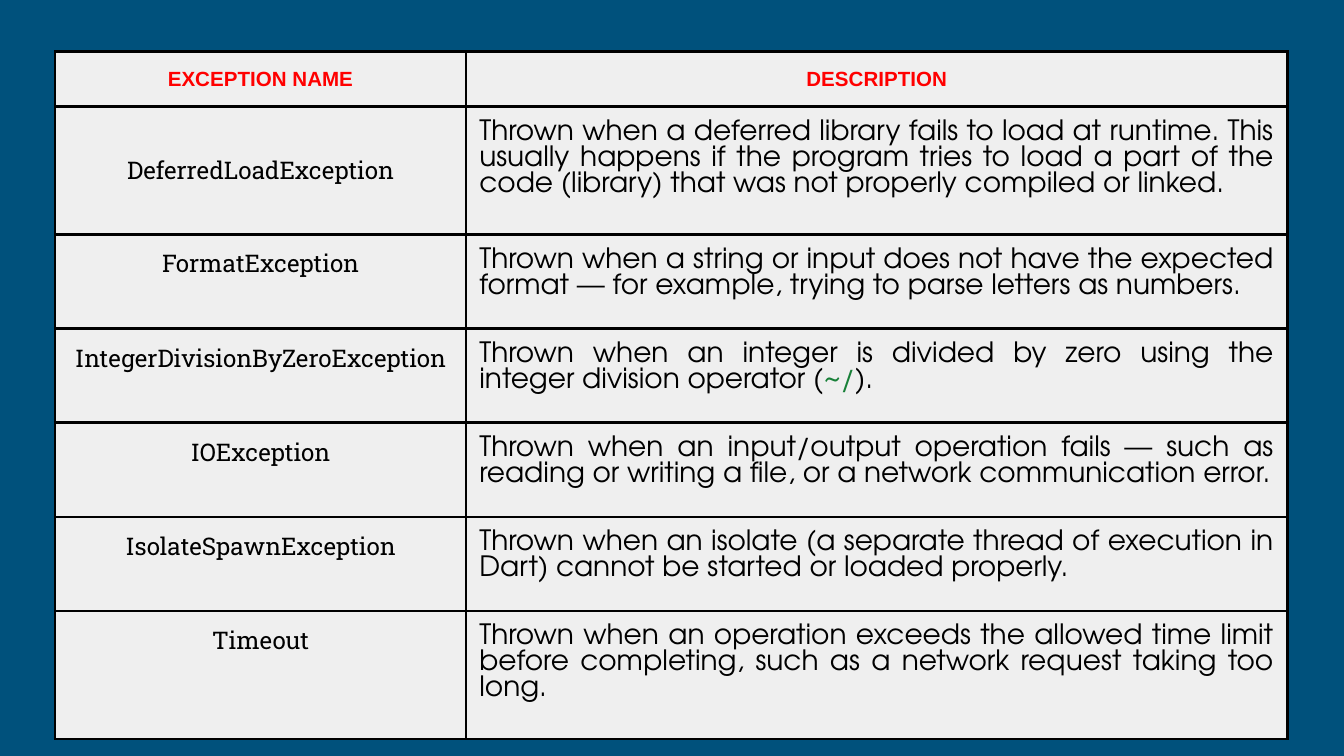
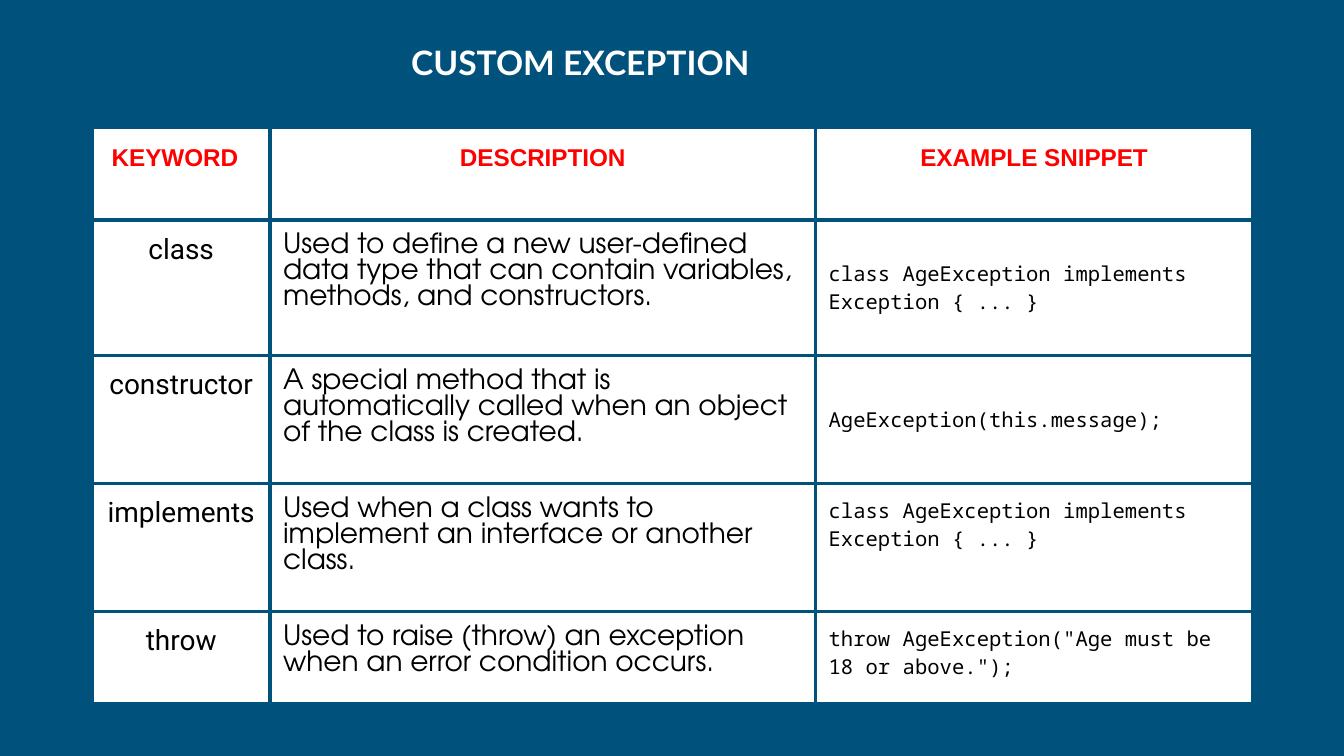
from lxml import etree
from pptx import Presentation
from pptx.dml.color import RGBColor
from pptx.enum.text import MSO_ANCHOR, PP_ALIGN
from pptx.oxml.ns import qn
from pptx.util import Cm, Pt

LEFT, MID, JUST = PP_ALIGN.LEFT, PP_ALIGN.CENTER, PP_ALIGN.JUSTIFY
TOP, CENTER = MSO_ANCHOR.TOP, MSO_ANCHOR.MIDDLE
BLUE, WHITE, GREY = "00517C", "FFFFFF", "EFEFEF"
RED, BLACK, GREEN = "FF0000", "000000", "188038"
SANS, MONO = "TeX Gyre Adventor", "Noto Sans Mono"
PAD = Cm(0.25)

ERRORS = [
    ("EXCEPTION NAME", "DESCRIPTION"),
    ("DeferredLoadException",
     "Thrown when a deferred library fails to load at runtime. This usually happens "
     "if the program tries to load a part of the code (library) that was not properly "
     "compiled or linked."),
    ("FormatException",
     "Thrown when a string or input does not have the expected format — for example, "
     "trying to parse letters as numbers."),
    ("IntegerDivisionByZeroException",
     [("Thrown when an integer is divided by zero using the integer division operator (",
       BLACK), ("~/", GREEN), (").", BLACK)]),
    ("IOException",
     "Thrown when an input/output operation fails — such as reading or writing a file, "
     "or a network communication error."),
    ("IsolateSpawnException",
     "Thrown when an isolate (a separate thread of execution in Dart) cannot be "
     "started or loaded properly."),
    ("Timeout",
     "Thrown when an operation exceeds the allowed time limit before completing, "
     "such as a network request taking too long."),
]
WORDS = [
    ("KEYWORD", "DESCRIPTION", "EXAMPLE SNIPPET"),
    ("class",
     "Used to define a new user-defined data type that can contain variables, "
     "methods, and constructors.",
     "class AgeException implements Exception { ... }"),
    ("constructor",
     "A special method that is automatically called when an object of the class "
     "is created.",
     "AgeException(this.message);"),
    ("implements",
     "Used when a class wants to implement an interface or another class.",
     "class AgeException implements Exception { ... }"),
    ("throw",
     "Used to raise (throw) an exception when an error condition occurs.",
     'throw AgeException("Age must be 18 or above.");'),
]


def color(code):
    return RGBColor.from_string(code)


def style(para, face, size, ink, align, bold=False):
    para.alignment = align
    font = para.font
    font.name, font.size, font.bold = face, Pt(size), bold
    font.color.rgb = color(ink)


def write(para, text):
    if isinstance(text, str):
        para.add_run().text = text
        return
    for part, ink in text:
        run = para.add_run()
        run.text = part
        run.font.color.rgb = color(ink)


def frame(cell, ink, width):
    props = cell._tc.get_or_add_tcPr()
    for side in ("lnL", "lnR", "lnT", "lnB"):
        line = etree.SubElement(props, qn(f"a:{side}"), w=str(Pt(width)))
        fill = etree.SubElement(line, qn("a:solidFill"))
        etree.SubElement(fill, qn("a:srgbClr"), val=ink)


def add_slide(deck, layout):
    slide = deck.slides.add_slide(deck.slide_layouts[layout])
    slide.background.fill.solid()
    slide.background.fill.fore_color.rgb = color(BLUE)
    return slide


def add_title(slide, text):
    title = slide.shapes.title
    title.left, title.top = Cm(7.52), Cm(0.53)
    title.width, title.height = Cm(10.36), Cm(1.27)
    box = title.text_frame
    box.word_wrap = True
    box.vertical_anchor = CENTER
    box.margin_left = box.margin_right = box.margin_top = box.margin_bottom = PAD
    box.text = text
    style(box.paragraphs[0], "Lato", 18, WHITE, LEFT, True)


def add_grid(slide, data, spot, cols, rows, back, line, head, body):
    left, top = spot
    grid = slide.shapes.add_table(len(rows), len(cols), Cm(left), Cm(top),
                                  Cm(sum(cols)), Cm(sum(rows))).table
    grid.first_row = grid.horz_banding = False
    for col, width in zip(grid.columns, cols):
        col.width = Cm(width)
    for row, height in zip(grid.rows, rows):
        row.height = Cm(height)
    for r, texts in enumerate(data):
        for c, text in enumerate(texts):
            cell = grid.cell(r, c)
            frame(cell, *line)
            cell.fill.solid()
            cell.fill.fore_color.rgb = color(back)
            cell.margin_left = cell.margin_right = PAD
            cell.margin_top = cell.margin_bottom = PAD
            cell.vertical_anchor = TOP
            para = cell.text_frame.paragraphs[0]
            write(para, text)
            if r == 0:
                para.line_spacing = 1.15
                style(para, "Arial", head, RED, MID, True)
            else:
                face, size, align = body[c]
                style(para, face, size, BLACK, align)
    return grid


def main():
    deck = Presentation()
    deck.slide_width, deck.slide_height = Cm(25.4), Cm(14.29)

    slide = add_slide(deck, 6)
    grid = add_grid(slide, ERRORS, (1.04, 0.97), (7.77, 15.52),
                    (1.04, 2.42, 1.78, 1.78, 1.78, 1.78, 2.42),
                    GREY, (BLACK, 1.5), 11,
                    (("Roboto Slab", 13, MID), (SANS, 15, JUST)))
    grid.cell(1, 0).vertical_anchor = CENTER

    slide = add_slide(deck, 5)
    add_title(slide, "CUSTOM EXCEPTION")
    grid = add_grid(slide, WORDS, (1.75, 2.4), (3.35, 10.31, 8.26),
                    (1.76, 2.56, 2.42, 2.42, 1.75),
                    WHITE, (BLUE, 2.25), 13,
                    (("Roboto", 15, MID), (SANS, 15, LEFT), (MONO, 11, LEFT)))
    key = grid.cell(0, 0)
    key.margin_left = Cm(0.36)
    key.text_frame.paragraphs[0].alignment = LEFT
    for r in (1, 2):
        grid.cell(r, 2).vertical_anchor = CENTER

    deck.save("out.pptx")


if __name__ == "__main__":
    main()
